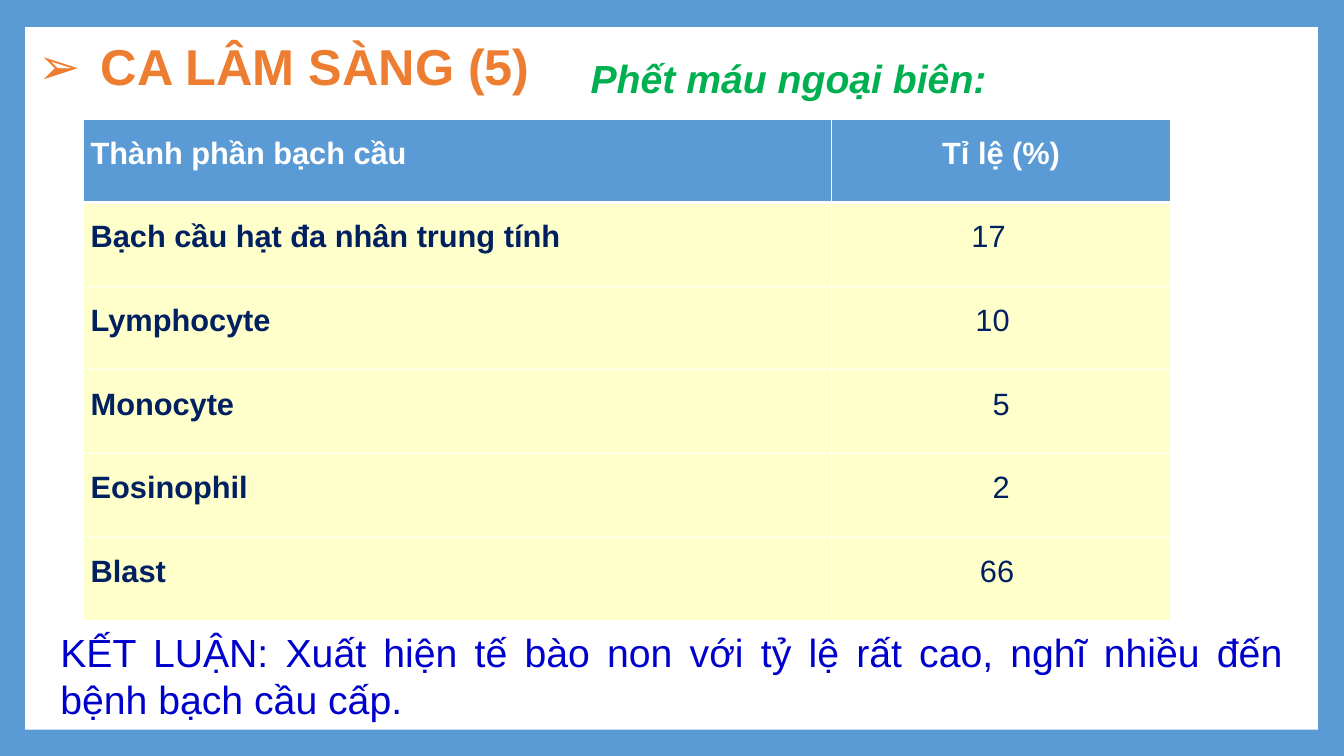
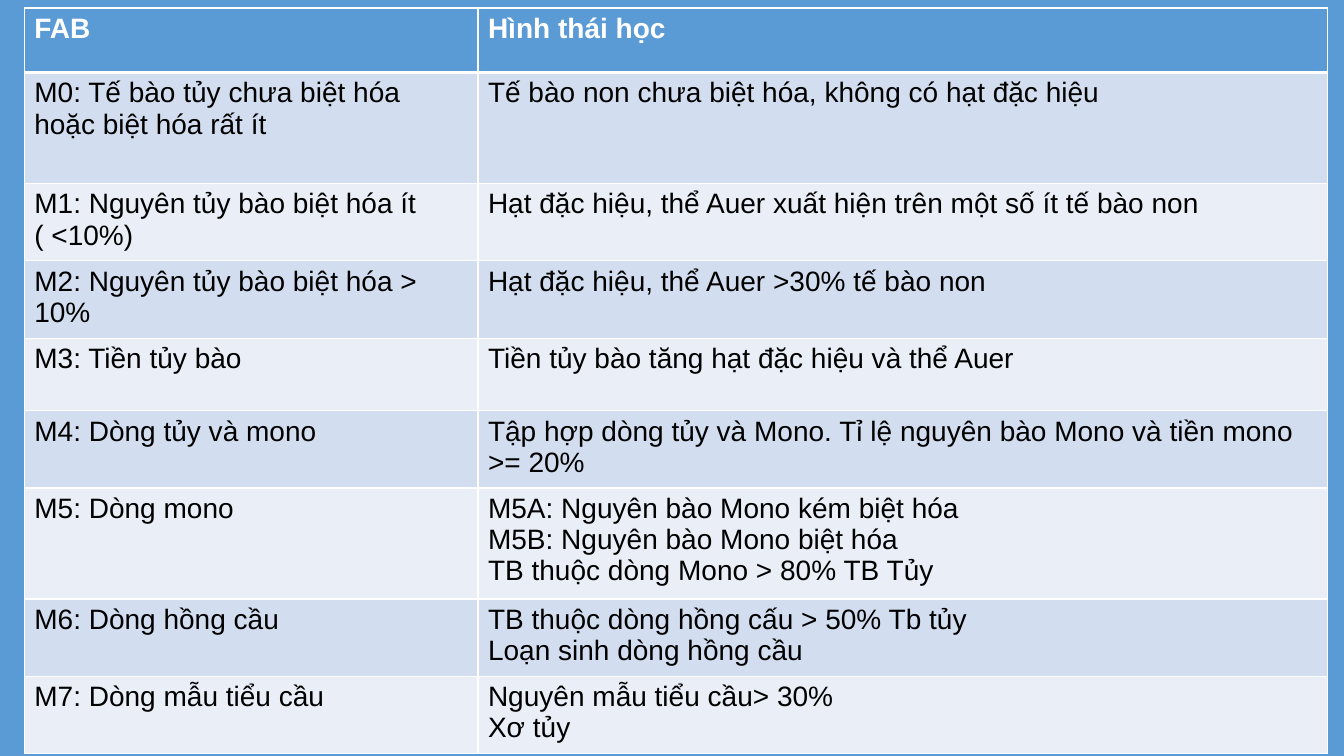
import pptx
import pptx.dml.color
import pptx.enum.shapes
import pptx.enum.text
import pptx.oxml
import pptx.oxml.ns
import pptx.util
from lxml import etree

Inches = pptx.util.Inches
Pt = pptx.util.Pt
ALIGN = pptx.enum.text.PP_ALIGN
ANCHOR = pptx.enum.text.MSO_ANCHOR
AUTO_SIZE = pptx.enum.text.MSO_AUTO_SIZE
qn = pptx.oxml.ns.qn

BLUE, WHITE, ORANGE, GREEN = "5B9BD5", "FFFFFF", "ED7D31", "00B050"
NAVY, ROYAL, BLACK = "002060", "0000CC", "000000"
CREAM, BAND_DARK, BAND_LIGHT = "FFFFCC", "D2DEEF", "EAEFF7"


def rgb(value):
    return pptx.dml.color.RGBColor.from_string(value)


def write_text(tf, text, size=20, color=BLACK, bold=False, italic=False,
               align=ALIGN.LEFT, spacing=1.0, bullet=None, indent=0.62):
    for i, line in enumerate(text.split("\n")):
        p = tf.paragraphs[0] if i == 0 else tf.add_paragraph()
        p.alignment = align
        p.line_spacing = spacing
        if bullet:
            pPr = p._p.get_or_add_pPr()
            pPr.set("marL", str(Inches(indent)))
            pPr.set("indent", str(-Inches(indent)))
            etree.SubElement(pPr, qn("a:buFont")).set("typeface", "Arial")
            etree.SubElement(pPr, qn("a:buChar")).set("char", bullet)
        r = p.add_run()
        r.text = line
        r.font.name = "Arial"
        r.font.size = Pt(size)
        r.font.bold = bold
        r.font.italic = italic
        r.font.color.rgb = rgb(color)


def set_border(cell, side, width):
    tcPr = cell._tc.get_or_add_tcPr()
    ln = etree.SubElement(tcPr, qn(f"a:ln{side}"), w=str(Pt(width)))
    fill = etree.SubElement(ln, qn("a:solidFill"))
    etree.SubElement(fill, qn("a:srgbClr")).set("val", WHITE)


class Deck:
    def __init__(self):
        self.prs = pptx.Presentation()
        self.prs.slide_width = Inches(13.33)
        self.prs.slide_height = Inches(7.5)
        fill = self.prs.slide_master.background.fill
        fill.solid()
        fill.fore_color.rgb = rgb(BLUE)
        self.s = None

    def new_slide(self):
        self.s = self.prs.slides.add_slide(self.prs.slide_layouts[6])
        sp = self.s.shapes.add_shape(
            pptx.enum.shapes.MSO_SHAPE.RECTANGLE,
            Inches(0.25), Inches(0.27), Inches(12.82), Inches(6.97))
        sp.shadow.inherit = False
        sp.fill.solid()
        sp.fill.fore_color.rgb = rgb(WHITE)
        sp.line.fill.background()

    def text(self, box, text, wrap=True, anchor=ANCHOR.TOP,
             auto_size=AUTO_SIZE.SHAPE_TO_FIT_TEXT, **fmt):
        tf = self.s.shapes.add_textbox(*map(Inches, box)).text_frame
        tf.word_wrap = wrap
        tf.auto_size = auto_size
        tf.vertical_anchor = anchor
        write_text(tf, text, **fmt)

    def title(self, text):
        self.text((0.28, 0.27, 12.79, 0.84), text, anchor=ANCHOR.MIDDLE,
                  auto_size=AUTO_SIZE.NONE, size=36, color=ORANGE, bold=True,
                  spacing=0.9, bullet="➢")

    def table(self, left, top, widths, heights, rows, bands, margins,
              aligns=(ALIGN.LEFT, ALIGN.LEFT), color=BLACK, bold_first=False,
              right_pads=None, **fmt):
        table = self.s.shapes.add_table(
            len(rows), len(widths), Inches(left), Inches(top),
            Inches(sum(widths)), Inches(sum(heights))).table
        for column, width in zip(table.columns, widths):
            column.width = Inches(width)
        for i, (row, height) in enumerate(zip(rows, heights)):
            table.rows[i].height = Inches(height)
            header = i == 0
            for j, text in enumerate(row):
                cell = table.cell(i, j)
                pad = right_pads[i] if right_pads and j else 0
                cell.margin_left = Inches(margins[0])
                cell.margin_right = Inches(margins[0] + pad)
                cell.margin_top = cell.margin_bottom = Inches(margins[1])
                for side, width in (("L", 1), ("R", 1),
                                    ("T", 3 if i == 1 else 1),
                                    ("B", 3 if header else 1)):
                    set_border(cell, side, width)
                cell.fill.solid()
                cell.fill.fore_color.rgb = rgb(
                    BLUE if header else bands[(i - 1) % len(bands)])
                write_text(cell.text_frame, text, align=aligns[j],
                           color=WHITE if header else color,
                           bold=header or (bold_first and j == 0), **fmt)


def blood_smear_slide(deck):
    deck.new_slide()
    deck.title("CA LÂM SÀNG (5)")
    deck.text((5.76, 0.26, 4.18, 0.81), "Phết máu ngoại biên:", wrap=False,
              size=28, color=GREEN, bold=True, italic=True, spacing=1.5)
    rows = [
        ("Thành phần bạch cầu", "Tỉ lệ (%)"),
        ("Bạch cầu hạt đa nhân trung tính", "17"),
        ("Lymphocyte", "10"),
        ("Monocyte", "5"),
        ("Eosinophil", "2"),
        ("Blast", "66"),
    ]
    deck.table(0.83, 1.18, (7.42, 3.36), [0.83] * len(rows), rows, (CREAM,),
               (0.07, 0), aligns=(ALIGN.JUSTIFY, ALIGN.CENTER), color=NAVY,
               bold_first=True, right_pads=(0, 0.25, 0.17, 0, 0, 0.08),
               size=22, spacing=1.5)
    deck.text((0.5, 6.18, 12.32, 1.04),
              "KẾT LUẬN: Xuất hiện tế bào non với tỷ lệ rất cao, "
              "nghĩ nhiều đến bệnh bạch cầu cấp.",
              size=28, color=ROYAL, align=ALIGN.JUSTIFY)


def fab_slide(deck):
    deck.new_slide()
    rows = [
        ("FAB", "Hình thái học"),
        ("M0: Tế bào tủy chưa biệt hóa hoặc biệt hóa rất ít",
         "Tế bào non chưa biệt hóa, không có hạt đặc hiệu"),
        ("M1: Nguyên tủy bào biệt hóa ít ( <10%)",
         "Hạt đặc hiệu, thể Auer xuất hiện trên một số ít tế bào non"),
        ("M2: Nguyên tủy bào biệt hóa > 10%",
         "Hạt đặc hiệu, thể Auer >30% tế bào non"),
        ("M3: Tiền tủy bào", "Tiền tủy bào tăng hạt đặc hiệu và thể Auer"),
        ("M4: Dòng tủy và mono",
         "Tập hợp dòng tủy và Mono. Tỉ lệ nguyên bào Mono và tiền mono "
         ">= 20%"),
        ("M5: Dòng mono",
         "M5A: Nguyên bào Mono kém biệt hóa\n"
         "M5B: Nguyên bào Mono biệt hóa\n"
         "TB thuộc dòng Mono > 80% TB Tủy"),
        ("M6: Dòng hồng cầu",
         "TB thuộc dòng hồng cấu > 50% Tb tủy\nLoạn sinh dòng hồng cầu"),
        ("M7: Dòng mẫu tiểu cầu", "Nguyên mẫu tiểu cầu> 30%\nXơ tủy"),
    ]
    heights = [0.64, 1.1] + [0.72] * 4 + [1.03] + [0.72] * 2
    deck.table(0.24, 0.08, (4.5, 8.43), heights, rows,
               (BAND_DARK, BAND_LIGHT), (0.1, 0.05))


def main():
    deck = Deck()
    blood_smear_slide(deck)
    fab_slide(deck)
    deck.prs.save("out.pptx")


if __name__ == "__main__":
    main()
